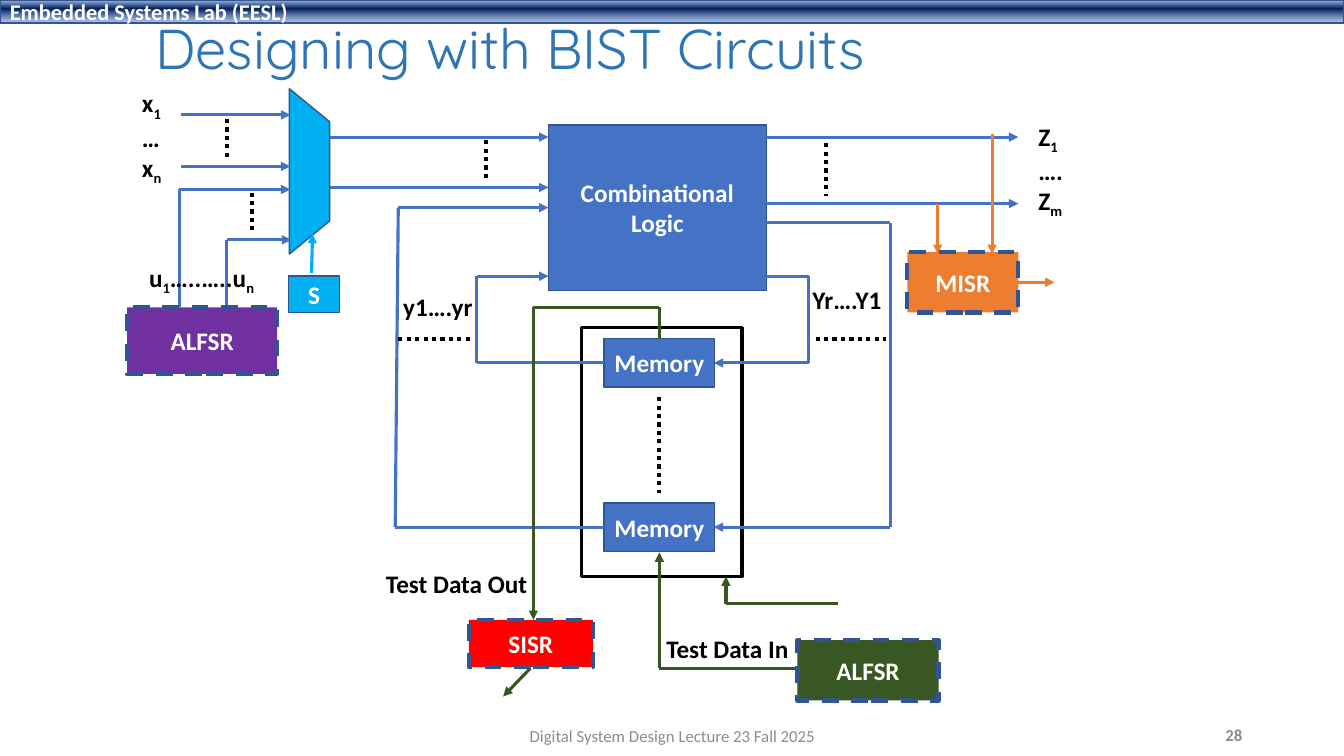
from lxml import etree
from pptx import Presentation
from pptx.dml.color import RGBColor
from pptx.enum.dml import MSO_LINE
from pptx.enum.shapes import MSO_CONNECTOR, MSO_SHAPE
from pptx.enum.text import MSO_ANCHOR, MSO_AUTO_SIZE, PP_ALIGN
from pptx.oxml import parse_xml
from pptx.oxml.ns import qn
from pptx.util import Inches, Pt

RECT = MSO_SHAPE.RECTANGLE
MUX = MSO_SHAPE.FLOWCHART_MANUAL_OPERATION
STRAIGHT = MSO_CONNECTOR.STRAIGHT
DASH, DOTS = MSO_LINE.DASH, MSO_LINE.ROUND_DOT
TOP, MIDDLE = MSO_ANCHOR.TOP, MSO_ANCHOR.MIDDLE
LEFT, CENTER, RIGHT = PP_ALIGN.LEFT, PP_ALIGN.CENTER, PP_ALIGN.RIGHT
NO_GROW, GROW = MSO_AUTO_SIZE.NONE, MSO_AUTO_SIZE.SHAPE_TO_FIT_TEXT

BLUE, EDGE, CYAN, GREEN, ORANGE = "4472C4", "325491", "00B0F0", "385723", "ED7D31"
BLACK, WHITE, GRAY = "000000", "FFFFFF", "8C8C8C"

HEADER = "Embedded Systems Lab (EESL)"
HEADER_STOPS = [(2, "ABC0E4", 100), (38, "002060", 100), (93, "7E9ED6", 64)]
TITLE = "Designing with BIST Circuits"
FOOTER = "Digital System Design Lecture 23 Fall 2025"
PAGE_NUMBER = "28"

LOGIC_BLOCKS = [
    (["Combinational", "Logic"], (5.44, 1.24, 2.16, 1.64), BLUE),
    (["Memory"], (5.99, 3.36, 1.1, 0.48), BLUE),
    (["Memory"], (5.99, 4.99, 1.1, 0.48), BLUE),
    (["S"], (2.86, 2.74, 0.51, 0.36), CYAN),
]
TEST_BLOCKS = [
    (["ALFSR"], (1.26, 3.05, 1.49, 0.66), "7030A0"),
    (["MISR"], (9, 2.5, 1.1, 0.6), ORANGE),
    (["SISR"], (4.65, 6.15, 1.23, 0.47), "FF0000"),
    (["ALFSR"], (7.91, 6.35, 1.4, 0.6), GREEN),
]
MUX_AREA = (2.25, 1.5, 1.64, 0.4)
MEMORY_FRAME = (5.77, 3.25, 1.59, 2.47)

ARROW_ROUTES = [
    (BLUE, [(1.8, 1.14), (2.88, 1.14)]),
    (BLUE, [(1.8, 1.65), (2.88, 1.65)]),
    (BLUE, [(1.78, 3.05), (1.78, 1.88), (2.88, 1.88)]),
    (BLUE, [(2.25, 3.05), (2.25, 2.38), (2.89, 2.38)]),
    (BLUE, [(3.27, 1.36), (5.44, 1.36)]),
    (BLUE, [(3.27, 1.86), (5.44, 1.86)]),
    (BLUE, [(7.6, 1.36), (10.1, 1.36)]),
    (BLUE, [(7.6, 2.02), (10.1, 2.02)]),
    (BLUE, [(7.6, 2.74), (8.02, 2.74), (8.02, 3.6), (7.08, 3.6)]),
    (BLUE, [(7.6, 2.21), (8.83, 2.21), (8.83, 5.23), (7.08, 5.23)]),
    (BLUE, [(5.99, 3.6), (4.73, 3.6), (4.73, 2.74), (5.44, 2.74)]),
    (BLUE, [(5.99, 5.23), (3.92, 5.23), (3.95, 2.06), (5.44, 2.06)]),
    (GREEN, [(8.31, 5.99), (7.2, 5.99), (7.2, 5.72)]),
    (GREEN, [(7.91, 6.63), (6.54, 6.63), (6.54, 5.48)]),
    (GREEN, [(6.54, 3.36), (6.54, 3.05), (5.29, 3.05), (5.29, 6.15)]),
    (GREEN, [(5.26, 6.63), (4.99, 6.91)]),
    (CYAN, [(3.09, 2.71), (3.1, 2.32)]),
    (ORANGE, [(9.84, 1.33), (9.84, 2.52)]),
    (ORANGE, [(9.3, 2.02), (9.3, 2.52)]),
    (ORANGE, [(10.1, 2.8), (10.46, 2.8)]),
]
DOTTED_LINES = [
    [(2.25, 1.18), (2.25, 1.57)],
    [(2.5, 1.91), (2.5, 2.31)],
    [(4.82, 1.39), (4.82, 1.78)],
    [(8.19, 1.42), (8.19, 1.94)],
    [(8.09, 3.36), (8.79, 3.36)],
    [(3.95, 3.36), (4.67, 3.36)],
    [(6.54, 3.94), (6.54, 4.89)],
]
# fmt: off
SIGNAL_LABELS = [
    ((1.31, 0.82, 0.41, 1.01), [["x", "_1"], ["…"], ["x", "_n"]]),
    ((10.2, 1.15, 0.46, 1.01), [["Z", "_1"], ["…."], ["Z", "_m"]]),
    ((1.38, 2.55, 1.27, 0.4), [["u", "_1", "…..…..u", "_n"]]),
    ((3.9, 2.84, 0.89, 0.4), [["y1….yr"]]),
    ((7.96, 2.77, 0.89, 0.4), [["Yr….Y1"]]),
    ((6.51, 6.23, 1.42, 0.4), [["Test Data In"]]),
    ((3.73, 5.59, 1.62, 0.4), [["Test Data Out"]]),
]


def color(value):
    return RGBColor.from_string(value)


def write(shape, lines, size=18, ink=BLACK, bold=True, align=LEFT,
          anchor=MIDDLE, font="Calibri", wrap=True, spacing=None):
    frame = shape.text_frame
    frame.word_wrap = wrap
    frame.auto_size = NO_GROW if wrap else GROW
    frame.vertical_anchor = anchor
    for index, pieces in enumerate(lines):
        para = frame.add_paragraph() if index else frame.paragraphs[0]
        para.alignment = align
        para.line_spacing = spacing
        for piece in pieces:
            span = para.add_run()
            span.text = piece.removeprefix("_")
            span.font.name = font
            span.font.size = Pt(size)
            span.font.bold = bold
            span.font.color.rgb = color(ink)
            if piece.startswith("_"):
                span.font._element.set("baseline", "-25000")


def add_box(page, area, fill=None, edge=EDGE, width=1, dash=None, kind=RECT):
    box = page.shapes.add_shape(kind, *map(Inches, area))
    box.shadow.inherit = False
    if fill:
        box.fill.solid()
        box.fill.fore_color.rgb = color(fill)
    else:
        box.fill.background()
    box.line.color.rgb = color(edge)
    box.line.width = Pt(width)
    box.line.dash_style = dash
    return box


def add_text(page, area, lines, **style):
    write(page.shapes.add_textbox(*map(Inches, area)), lines, **style)


def add_wire(page, start, end, ink, width=2.25, dash=None, arrow=False):
    wire = page.shapes.add_connector(STRAIGHT, *map(Inches, start + end))
    wire.line.color.rgb = color(ink)
    wire.line.width = Pt(width)
    wire.line.dash_style = dash
    if arrow:
        etree.SubElement(wire.line._get_or_add_ln(), qn("a:tailEnd"), type="triangle")
    etree.SubElement(wire._element.spPr, qn("a:effectLst"))


def add_header(page):
    bar = add_box(page, (0, 0, 13.33, 0.23), BLUE)
    stops = "".join(
        f'<a:gs pos="{place * 1000}"><a:srgbClr val="{tint}">'
        f'<a:alpha val="{alpha * 1000}"/></a:srgbClr></a:gs>'
        for place, tint, alpha in HEADER_STOPS)
    gradient = parse_xml(
        '<a:gradFill xmlns:a="http://schemas.openxmlformats.org/drawingml/2006/main">'
        f'<a:gsLst>{stops}</a:gsLst><a:lin ang="5400000" scaled="0"/></a:gradFill>')
    properties = bar._element.spPr
    properties.replace(properties.find(qn("a:solidFill")), gradient)
    write(bar, [[HEADER]], size=16, ink=WHITE)


def add_blocks(page, blocks, **outline):
    for lines, area, fill in blocks:
        box = add_box(page, area, fill, **outline)
        write(box, [[line] for line in lines], ink=WHITE, align=CENTER)


def main():
    deck = Presentation()
    deck.slide_width, deck.slide_height = Inches(13.33), Inches(7.5)
    page = deck.slides.add_slide(deck.slide_layouts[6])
    add_header(page)
    add_text(page, (1.44, 0.1, 11, 0.82), [[TITLE]], size=40, ink="2E75B6",
             bold=False, font="Quicksand", spacing=0.9)
    add_blocks(page, LOGIC_BLOCKS)
    add_box(page, MUX_AREA, CYAN, kind=MUX).rotation = 270
    add_box(page, MEMORY_FRAME, edge=BLACK, width=2.25)
    for ink, points in ARROW_ROUTES:
        for start, end in zip(points, points[1:]):
            add_wire(page, start, end, ink, arrow=end == points[-1])
    for start, end in DOTTED_LINES:
        add_wire(page, start, end, BLACK, width=3, dash=DOTS)
    add_blocks(page, TEST_BLOCKS, width=3, dash=DASH)
    for area, lines in SIGNAL_LABELS:
        add_text(page, area, lines, anchor=TOP, wrap=False)
    add_text(page, (4.42, 7.1, 4.5, 0.4), [[FOOTER]], size=12, ink=GRAY,
             bold=False, align=CENTER)
    add_text(page, (9.42, 7.09, 3, 0.4), [[PAGE_NUMBER]], size=12, ink=GRAY, align=RIGHT)
    deck.save("out.pptx")


if __name__ == "__main__":
    main()
